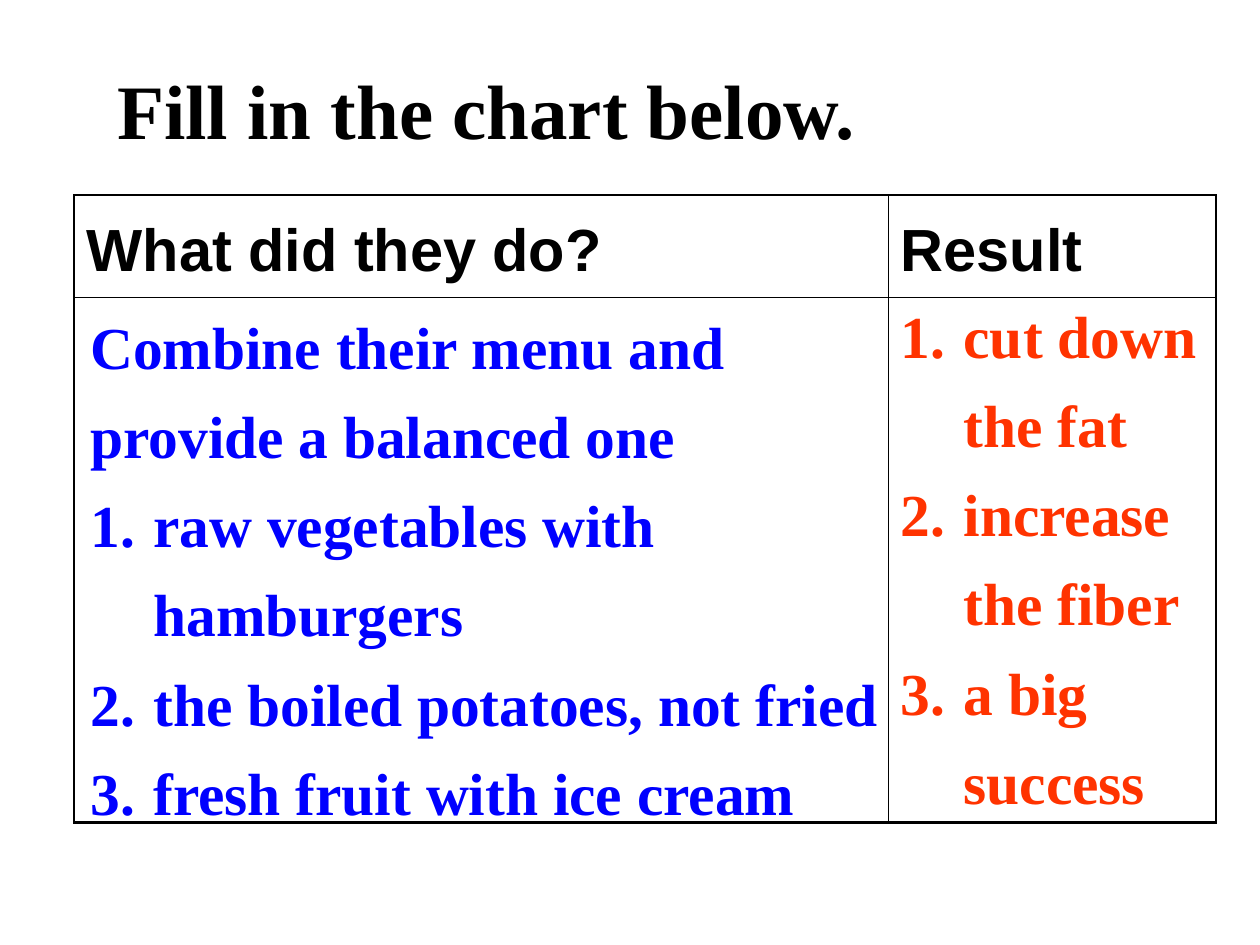
import pptx
import pptx.util
import pptx.dml.color
import pptx.enum.text
import pptx.oxml.ns
from lxml import etree

Pt = pptx.util.Pt
COLORS = {"ink": "000000", "action": "0000FF", "result": "FF3300"}
TITLE = {"size": Pt(44), "name": "Times New Roman", "bold": True}
HEADING = {"size": Pt(34), "name": "Arial", "bold": True}
ANSWER = {"size": Pt(34), "name": "Times New Roman", "bold": True}
LINE_SPACING = 1.25
HANG = 36
OUTER, INNER = 1.47, 0.45
HEADINGS = ["What did they do?", "Result"]
COLUMNS = [465.1, 187.2]
ROWS = [56.2, 300.2]
INTRO = ["Combine their menu and", "provide a balanced one"]
ACTIONS = [
    "raw vegetables with hamburgers",
    "the boiled potatoes, not fried",
    "fresh fruit with ice cream",
]
RESULTS = ["cut down the fat", "increase the fiber", "a big success"]


def add_element(parent, tag, **attributes):
    element = etree.SubElement(parent, pptx.oxml.ns.qn(tag))
    for key, value in attributes.items():
        element.set(key, str(value))
    return element


def write(paragraph, text, style, color):
    run = paragraph.add_run()
    run.text = text
    for attribute, value in style.items():
        setattr(run.font, attribute, value)
    run.font.color.rgb = pptx.dml.color.RGBColor.from_string(COLORS[color])


def add_frame(slide, box):
    frame = slide.shapes.add_textbox(*map(Pt, box)).text_frame
    frame.word_wrap = True
    frame.auto_size = pptx.enum.text.MSO_AUTO_SIZE.SHAPE_TO_FIT_TEXT
    return frame


def add_title(slide, box):
    frame = add_frame(slide, box)
    frame.vertical_anchor = pptx.enum.text.MSO_ANCHOR.MIDDLE
    write(frame.paragraphs[0], "Fill in the chart below.", TITLE, "ink")


def add_answers(slide, box, intro, numbered, color):
    frame = add_frame(slide, box)
    for index, text in enumerate(intro + numbered):
        paragraph = frame.add_paragraph() if index else frame.paragraphs[0]
        properties = paragraph._p.get_or_add_pPr()
        properties.set("marL", str(Pt(HANG)))
        properties.set("indent", str(-Pt(HANG)))
        if index < len(intro):
            add_element(properties, "a:buNone")
        else:
            bullet_color = add_element(properties, "a:buClr")
            add_element(bullet_color, "a:srgbClr", val=COLORS[color])
            add_element(properties, "a:buAutoNum", type="arabicPeriod")
        paragraph.line_spacing = LINE_SPACING
        write(paragraph, text, ANSWER, color)


def add_borders(cell, row, column):
    properties = cell._tc.get_or_add_tcPr()
    outer_sides = {
        "L": column == 0,
        "R": column == len(COLUMNS) - 1,
        "T": row == 0,
        "B": row == len(ROWS) - 1,
    }
    for side, is_outer in outer_sides.items():
        width = Pt(OUTER if is_outer else INNER)
        border = add_element(properties, f"a:ln{side}", w=width)
        fill = add_element(border, "a:solidFill")
        add_element(fill, "a:srgbClr", val=COLORS["ink"])


def add_chart_grid(slide, box):
    grid = slide.shapes.add_table(len(ROWS), len(COLUMNS), *map(Pt, box)).table
    grid.first_row = grid.horz_banding = False
    for column, width in enumerate(COLUMNS):
        grid.columns[column].width = Pt(width)
    for row, height in enumerate(ROWS):
        grid.rows[row].height = Pt(height)
        for column, heading in enumerate(HEADINGS):
            cell = grid.cell(row, column)
            add_borders(cell, row, column)
            cell.fill.background()
            if row == 0:
                paragraph = cell.text_frame.paragraphs[0]
                paragraph.line_spacing = LINE_SPACING
                write(paragraph, heading, HEADING, "ink")


def main():
    deck = pptx.Presentation()
    deck.slide_width, deck.slide_height = Pt(720), Pt(540)
    slide = deck.slides.add_slide(deck.slide_layouts[6])
    add_title(slide, (59.8, 31.7, 555.8, 60.5))
    add_chart_grid(slide, (42.5, 111.6, sum(COLUMNS), sum(ROWS)))
    add_answers(slide, (44.6, 163.4, 470.9, 301), INTRO, ACTIONS, "action")
    add_answers(slide, (507.6, 157, 187.2, 301), [], RESULTS, "result")
    deck.save("out.pptx")


if __name__ == "__main__":
    main()
